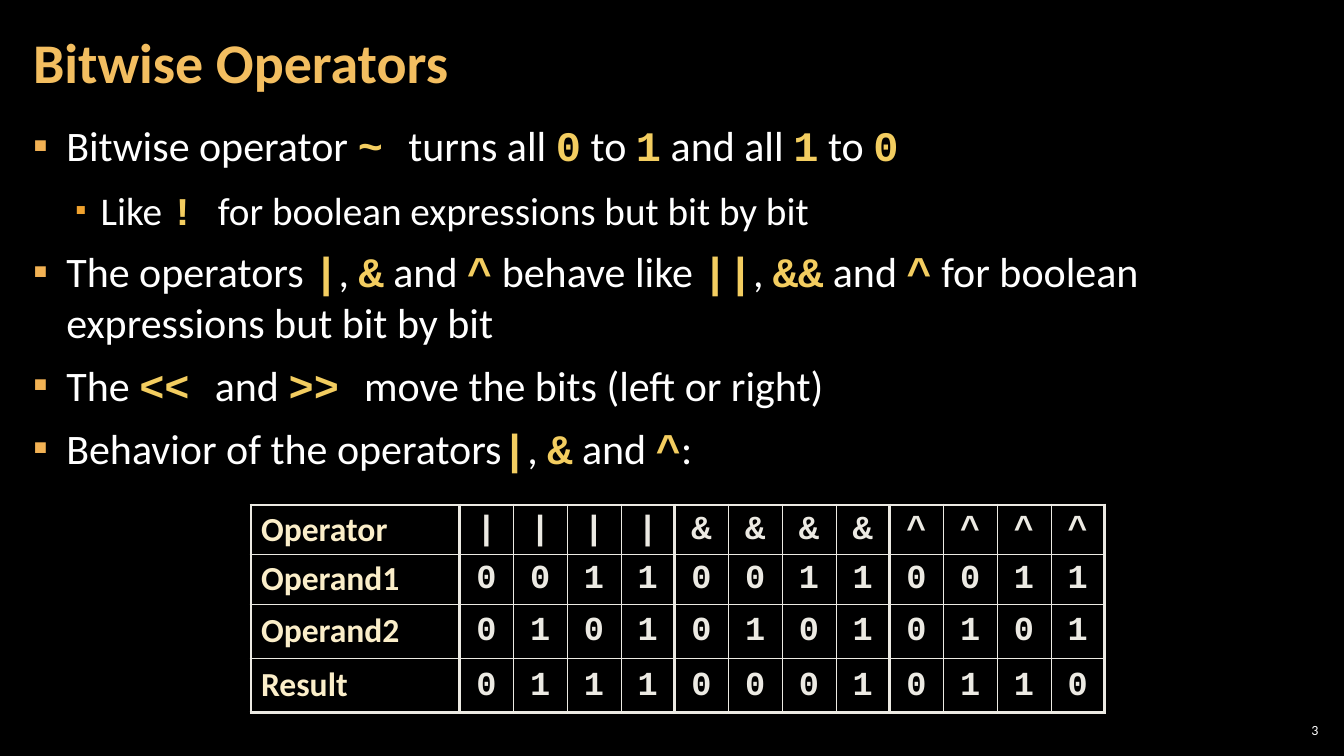
"""Build a slide on bitwise operators with a truth table."""
from lxml.etree import SubElement
from pptx import Presentation
from pptx.dml.color import RGBColor
from pptx.enum.text import MSO_ANCHOR, PP_ALIGN
from pptx.oxml.ns import qn
from pptx.util import Inches, Pt

COLUMNS, ROWS = 64, 36
UNIT = Inches(7.5) // ROWS

BLACK = RGBColor(0x00, 0x00, 0x00)
WHITE = RGBColor(0xFF, 0xFF, 0xFF)
TITLE_GOLD = RGBColor(0xF3, 0xBE, 0x60)
CODE_GOLD = RGBColor(0xF3, 0xCD, 0x60)
BULLET_GOLD = RGBColor(0xF2, 0xB2, 0x54)
BULLET_ORANGE = RGBColor(0xF0, 0xA2, 0x2E)
LABEL_CREAM = RGBColor(0xFB, 0xEE, 0xC9)
TABLE_GREY = RGBColor(0xEC, 0xEA, 0xE3)

TEXT_FONT, CODE_FONT = "Calibri", "Courier New"
THICK, THIN = Pt(2.25), Pt(0.25)

BULLETS = [
    (0, "Bitwise operator `~ `turns all `0` to `1` and all `1` to `0`"),
    (1, "Like `! `for boolean expressions but bit by bit"),
    (0, "The operators `|`, `&` and `^` behave like `||`, `&&` and `^`"
        " for boolean expressions but bit by bit"),
    (0, "The `<< `and `>> `move the bits (left or right)"),
    (0, "Behavior of the operators`|`, `&` and `^`:"),
]
BULLET_STYLES = [
    {"size": 30, "margin": 0.33, "hanging": 0.33, "color": BULLET_GOLD, "scale": 100},
    {"size": 28, "margin": 0.67, "hanging": 0.25, "color": BULLET_ORANGE, "scale": 80},
]
TRUTH_TABLE = [
    ("Operator", "||||&&&&^^^^", 2.35),
    ("Operand1", "001100110011", 2.35),
    ("Operand2", "010101010101", 2.59),
    ("Result", "011100010110", 2.59),
]
GROUP_SIZE = 4
LABEL_WIDTH, BIT_WIDTH = 9.94, 2.56


def grid(*cells):
    """Turn grid counts into slide lengths."""
    return [round(count * UNIT) for count in cells]


def add_run(paragraph, text, *, size, color=WHITE, font=TEXT_FONT, bold=False):
    """Append one formatted run."""
    run = paragraph.add_run()
    run.text = text
    run.font.size = Pt(size)
    run.font.name = font
    run.font.bold = bold
    run.font.color.rgb = color


def add_text_box(slide, cells, *, anchor=MSO_ANCHOR.TOP, side_inset=0.12):
    """Add a wrapping text box and return its text frame."""
    frame = slide.shapes.add_textbox(*grid(*cells)).text_frame
    frame.word_wrap = True
    frame.vertical_anchor = anchor
    frame.margin_left = frame.margin_right = Inches(side_inset)
    frame.margin_top = frame.margin_bottom = Inches(0.04)
    return frame


def set_bullet(paragraph, *, margin, hanging, color, scale):
    """Give a paragraph a hanging square bullet."""
    properties = paragraph._p.get_or_add_pPr()
    properties.set("marL", str(Inches(margin)))
    properties.set("indent", str(-Inches(hanging)))
    bullet_color = SubElement(properties, qn("a:buClr"))
    SubElement(bullet_color, qn("a:srgbClr"), val=str(color))
    SubElement(properties, qn("a:buSzPct"), val=str(scale * 1000))
    SubElement(properties, qn("a:buFont"), typeface=TEXT_FONT)
    SubElement(properties, qn("a:buChar"), char="▪")


def add_bullet(paragraph, level, text):
    """Write one bullet, with code between backticks."""
    style = dict(BULLET_STYLES[level])
    size = style.pop("size")
    paragraph.level = level
    paragraph.line_spacing = Pt(36)
    paragraph.space_before = Pt(3)
    paragraph.space_after = Pt(6)
    set_bullet(paragraph, **style)
    for position, part in enumerate(text.split("`")):
        if not part:
            continue
        if position % 2:
            add_run(paragraph, part, size=size, color=CODE_GOLD, font=CODE_FONT, bold=True)
        else:
            add_run(paragraph, part, size=size)


def set_borders(cell, **widths):
    """Draw the sides L, R, T and B of a cell."""
    properties = cell._tc.get_or_add_tcPr()
    for side, width in widths.items():
        line = SubElement(properties, qn(f"a:ln{side}"), w=str(width))
        fill = SubElement(line, qn("a:solidFill"))
        SubElement(fill, qn("a:srgbClr"), val=str(TABLE_GREY))


def fill_cell(cell, text, *, is_label):
    """Write a row label or a bit into a cell."""
    cell.fill.background()
    cell.vertical_anchor = MSO_ANCHOR.MIDDLE
    paragraph = cell.text_frame.paragraphs[0]
    paragraph.line_spacing = 0.95
    if is_label:
        add_run(paragraph, text, size=24, color=LABEL_CREAM, bold=True)
        return
    cell.margin_left = cell.margin_right = Inches(0.04)
    cell.margin_top = cell.margin_bottom = Inches(0.04)
    paragraph.alignment = PP_ALIGN.CENTER
    add_run(paragraph, text, size=24, color=TABLE_GREY, font=CODE_FONT, bold=True)


def add_truth_table(slide, left, top):
    """Add the table, with thick lines around groups of bits."""
    bit_count = len(TRUTH_TABLE[0][1])
    widths = [LABEL_WIDTH] + [BIT_WIDTH] * bit_count
    heights = [height for _, _, height in TRUTH_TABLE]
    area = grid(left, top, sum(widths), sum(heights))
    table = slide.shapes.add_table(len(heights), len(widths), *area).table
    table.first_row = table.horz_banding = False
    for column, width in zip(table.columns, grid(*widths)):
        column.width = width
    for row, height in zip(table.rows, grid(*heights)):
        row.height = height
    last_row = len(heights) - 1
    for row, (label, bits, _) in enumerate(TRUTH_TABLE):
        for column, text in enumerate([label, *bits]):
            cell = table.cell(row, column)
            set_borders(
                cell,
                L=THICK if column == 0 or column % GROUP_SIZE == 1 else THIN,
                R=THICK if column % GROUP_SIZE == 0 else THIN,
                T=THICK if row == 0 else THIN,
                B=THICK if row == last_row else THIN,
            )
            fill_cell(cell, text, is_label=column == 0)


def main():
    """Build and save the slide."""
    presentation = Presentation()
    presentation.slide_width, presentation.slide_height = grid(COLUMNS, ROWS)
    slide = presentation.slides.add_slide(presentation.slide_layouts[6])
    slide.background.fill.solid()
    slide.background.fill.fore_color.rgb = BLACK

    number = add_text_box(slide, (60.72, 34.27, 2.25, 1),
                          anchor=MSO_ANCHOR.MIDDLE, side_inset=0.04).paragraphs[0]
    number.alignment = PP_ALIGN.RIGHT
    add_run(number, "3", size=10)

    body = add_text_box(slide, (1, 5.52, 62, 29.75))
    for position, (level, text) in enumerate(BULLETS):
        paragraph = body.add_paragraph() if position else body.paragraphs[0]
        add_bullet(paragraph, level, text)

    title = add_text_box(slide, (1, 0.2, 50.25, 5.8), anchor=MSO_ANCHOR.MIDDLE).paragraphs[0]
    title.line_spacing = 0.9
    add_run(title, "Bitwise Operators", size=40, color=TITLE_GOLD, bold=True)

    add_truth_table(slide, 11.95, 24.05)
    presentation.save("out.pptx")


if __name__ == "__main__":
    main()
